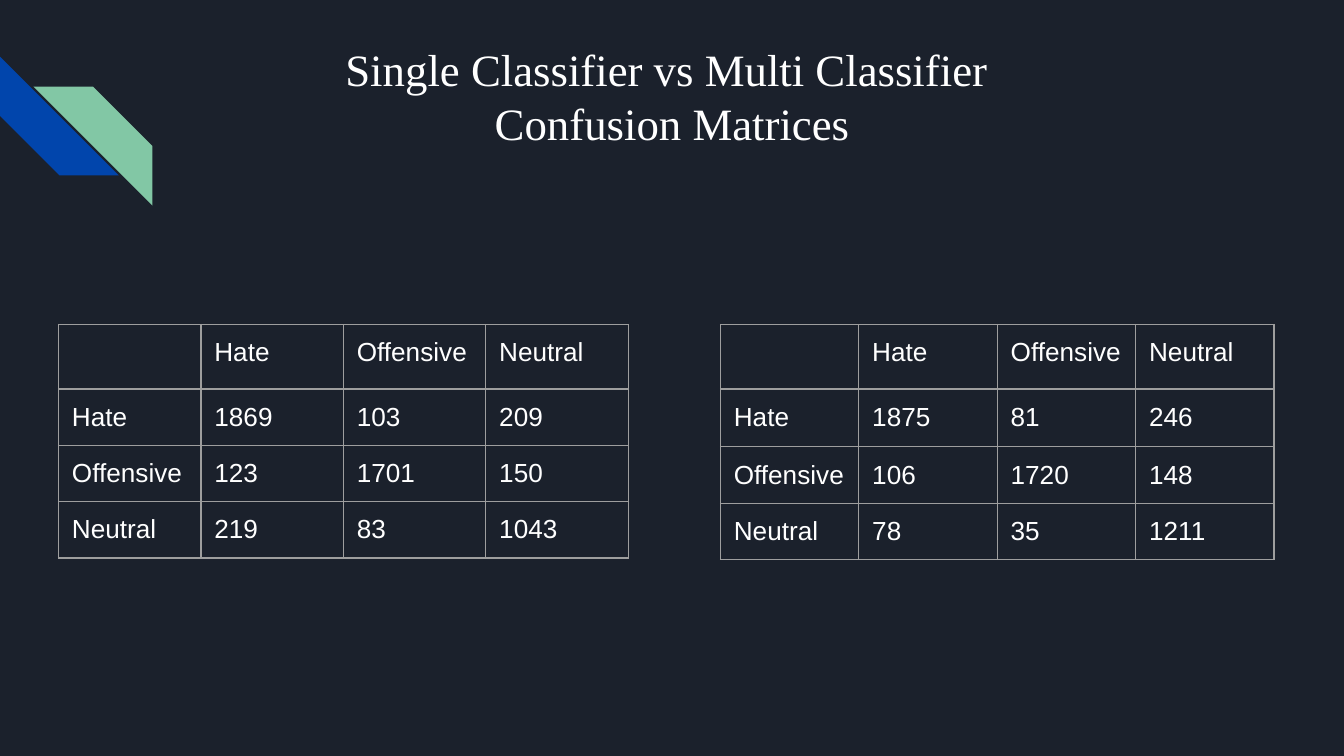
from lxml.etree import SubElement
from pptx import Presentation
from pptx.dml.color import RGBColor
from pptx.enum.shapes import MSO_SHAPE
from pptx.enum.text import MSO_ANCHOR, MSO_AUTO_SIZE, PP_ALIGN
from pptx.oxml.ns import qn
from pptx.util import Emu, Pt

NAVY = RGBColor(0x1B, 0x21, 0x2C)
BLUE = RGBColor(0x01, 0x45, 0xAC)
GREEN = RGBColor(0x82, 0xC7, 0xA5)
WHITE = RGBColor(0xFF, 0xFF, 0xFF)
GREY = RGBColor(0x9E, 0x9E, 0x9E)

EMU_PER_PX = 4572
INSET = 20
STRIPE = 177
LABELS = ["Hate", "Offensive", "Neutral"]
SINGLE = [[1869, 103, 209], [123, 1701, 150], [219, 83, 1043]]
MULTI = [[1875, 81, 246], [106, 1720, 148], [78, 35, 1211]]


def px(n):
    return Emu(n * EMU_PER_PX)


def add_run(p, text, font, size):
    r = p.add_run()
    r.text = text
    r.font.name = font
    r.font.size = Pt(size)
    r.font.color.rgb = WHITE


def set_insets(frame, vertical=INSET):
    frame.margin_left = frame.margin_right = px(INSET)
    frame.margin_top = frame.margin_bottom = px(vertical)


def add_borders(cell):
    tcPr = cell._tc.get_or_add_tcPr()
    for side in ("a:lnL", "a:lnR", "a:lnT", "a:lnB"):
        ln = SubElement(tcPr, qn(side), w=str(Pt(0.75)))
        fill = SubElement(ln, qn("a:solidFill"))
        SubElement(fill, qn("a:srgbClr"), val=str(GREY))


def add_stripes(s, left, top):
    group = s.shapes.add_group_shape()
    for dx, dy, color in ((0, 0, BLUE), (50, 45, GREEN)):
        sp = group.shapes.add_shape(MSO_SHAPE.DIAGONAL_STRIPE, px(left + dx),
                                    px(top + dy), px(STRIPE), px(STRIPE))
        sp.shadow.inherit = False
        sp.fill.solid()
        sp.fill.fore_color.rgb = color
        sp.line.fill.background()
        if color == BLUE:
            sp.rotation = 270
        else:
            sp._element.spPr.xfrm.set("flipH", "1")


def add_title(s, left, top, width, height):
    sp = s.shapes.title
    sp.left, sp.top, sp.width, sp.height = map(px, (left, top, width, height))
    tf = sp.text_frame
    tf.word_wrap = True
    tf.auto_size = MSO_AUTO_SIZE.NONE
    tf.vertical_anchor = MSO_ANCHOR.TOP
    set_insets(tf)
    lines = ["Single Classifier vs Multi Classifier ", "Confusion Matrices"]
    for i, line in enumerate(lines):
        p = tf.add_paragraph() if i else tf.paragraphs[0]
        p.alignment = PP_ALIGN.CENTER
        p.line_spacing = 1.0
        add_run(p, line, "Times New Roman", 24)


def add_matrix(s, left, top, col_width, row_heights, counts):
    rows = [[""] + LABELS] + [[k] + v for k, v in zip(LABELS, counts)]
    size = len(rows)
    table = s.shapes.add_table(size, size, px(left), px(top),
                               px(col_width * size), px(sum(row_heights))).table
    table.first_row = table.horz_banding = False
    for col in table.columns:
        col.width = px(col_width)
    for row, height, values in zip(table.rows, row_heights, rows):
        row.height = px(height)
        for cell, value in zip(row.cells, values):
            add_borders(cell)
            cell.fill.background()
            set_insets(cell, INSET if value else 0)
            if value:
                add_run(cell.text_frame.paragraphs[0], str(value), "Arial", 14)


def main():
    prs = Presentation()
    prs.slide_width, prs.slide_height = px(2000), px(1125)
    s = prs.slides.add_slide(prs.slide_layouts[5])
    s.background.fill.solid()
    s.background.fill.fore_color.rgb = NAVY
    add_stripes(s, 0, 84)
    add_title(s, 225, 42, 1550, 230)
    add_matrix(s, 87, 483, 212, [96, 83, 83, 83], SINGLE)
    add_matrix(s, 1072, 483, 206, [96, 86, 84, 84], MULTI)
    prs.save("out.pptx")


if __name__ == "__main__":
    main()
